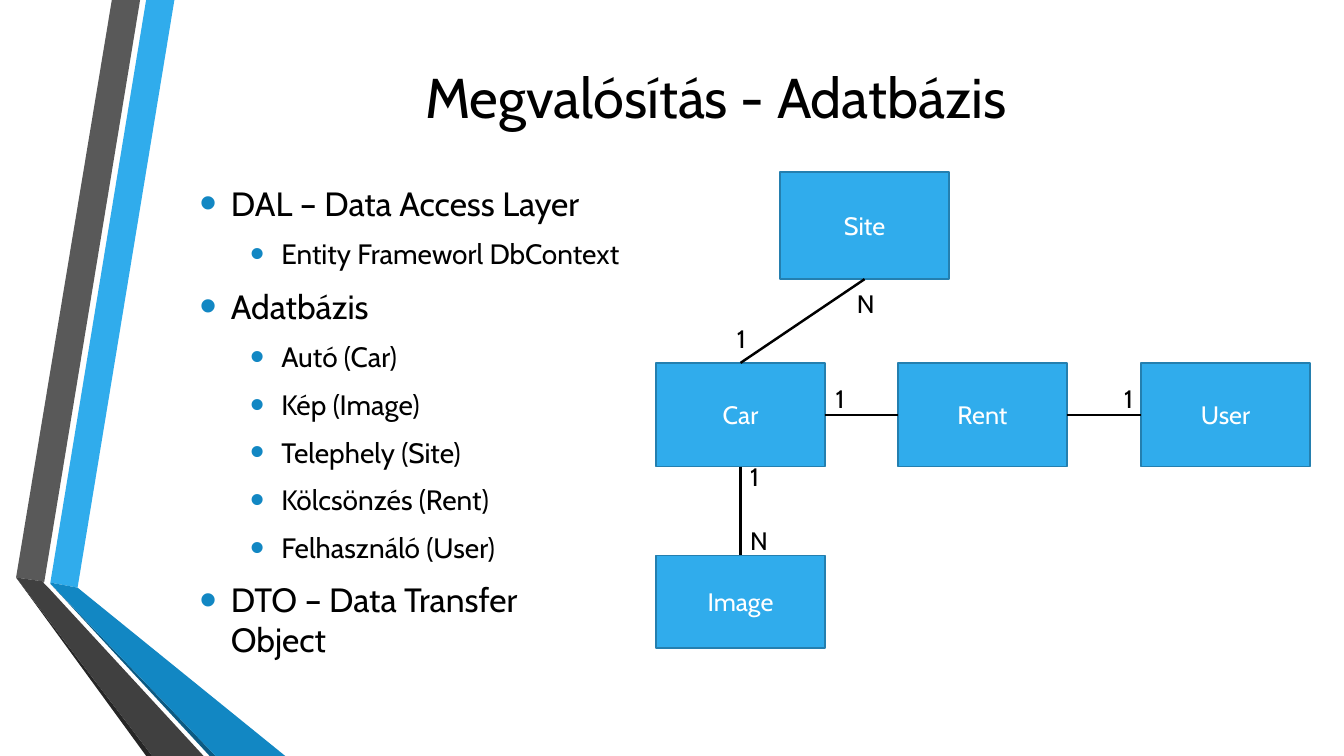
"""Build the database slide: outline on the left, entity diagram on the right."""
from lxml import etree
from pptx import Presentation
from pptx.dml.color import RGBColor
from pptx.enum.shapes import MSO_CONNECTOR, MSO_SHAPE
from pptx.enum.text import MSO_ANCHOR, MSO_AUTO_SIZE, PP_ALIGN
from pptx.oxml.ns import qn
from pptx.util import Pt

RECT = MSO_SHAPE.RECTANGLE
LINE = MSO_CONNECTOR.STRAIGHT
TOP, MIDDLE = MSO_ANCHOR.TOP, MSO_ANCHOR.MIDDLE
LEFT, CENTER = PP_ALIGN.LEFT, PP_ALIGN.CENTER
FIXED = MSO_AUTO_SIZE.NONE
PX = 9144
FONT = "Cabin"
COLORS = {
    "black": "000000", "white": "FFFFFF", "sky": "30ACEC", "edge": "247FAF",
    "blue": "1287C3", "navy": "0C5A82", "gray": "595959", "dark": "404040",
    "coal": "262626",
}

TITLE = "Megvalósítás - Adatbázis"
TITLE_BOX = (162, -1, 1096, 192)
BODY_BOX = (188, 176, 437, 457)
OUTLINE = [
    (0, "DAL – Data Access Layer"),
    (1, "Entity Frameworl DbContext"),
    (0, "Adatbázis"),
    (1, "Autó (Car)"),
    (1, "Kép (Image)"),
    (1, "Telephely (Site)"),
    (1, "Kölcsönzés (Rent)"),
    (1, "Felhasználó (User)"),
    (0, "DTO – Data Transfer Object"),
]
LEVELS = [(24, 31), (20, 81)]
HANG = 31

BANDS = [
    ("sky", [(50, 578), (77, 583), (173, 0), (145, 0)]),
    ("gray", [(139, 0), (111, 0), (16, 573), (44, 577)]),
    ("coal", [(16, 573), (145, 750), (151, 750)]),
    ("navy", [(50, 579), (208, 750), (214, 750)]),
    ("blue", [(50, 578), (50, 579), (214, 750), (283, 750), (77, 583)]),
    ("dark", [(202, 750), (48, 583), (43, 578), (44, 577), (16, 573), (151, 750)]),
]

BOX_W = 167
ENTITIES = {
    "Car": (651, 360, 103),
    "Image": (651, 551, 92),
    "Site": (774, 171, 106),
    "User": (1132, 360, 103),
    "Rent": (891, 360, 103),
}
LINKS = [
    ("Site", 2, "Car", 0),
    ("Car", 3, "Rent", 1),
    ("Rent", 3, "User", 1),
    ("Car", 2, "Image", 0),
]
LABELS = [
    ("1", 721, 316), ("1", 819, 375), ("1", 1105, 375),
    ("N", 840, 281), ("1", 734, 453), ("N", 734, 516),
]
LABEL_SIZE = (25, 40)


def emu(*sizes):
    return [size * PX for size in sizes]


def rgb(name):
    return RGBColor.from_string(COLORS[name])


def style(para, size, color, align=LEFT):
    para.alignment = align
    para.font.name = FONT
    para.font.size = Pt(size)
    para.font.color.rgb = rgb(color)


def place(shape, box):
    shape.left, shape.top, shape.width, shape.height = emu(*box)
    frame = shape.text_frame
    frame.word_wrap = True
    frame.auto_size = FIXED
    return frame


def bullet(para, indent):
    props = para._p.get_or_add_pPr()
    props.set("marL", str(indent * PX))
    props.set("indent", str(-HANG * PX))
    tint = etree.SubElement(props, qn("a:buClr"))
    etree.SubElement(tint, qn("a:srgbClr"), val=COLORS["blue"])
    etree.SubElement(props, qn("a:buSzPct"), val="145000")
    etree.SubElement(props, qn("a:buFont"), typeface="Arial")
    etree.SubElement(props, qn("a:buChar"), char="•")


def add_bands(shapes):
    for i, (color, points) in enumerate(BANDS):
        pen = shapes.build_freeform(*points[0], scale=PX)
        pen.add_line_segments(points[1:], close=True)
        band = pen.convert_to_shape()
        band.shadow.inherit = False
        band.fill.solid()
        band.fill.fore_color.rgb = rgb(color)
        band.line.fill.background()
        shapes._spTree.insert(2 + i, band._element)


def add_text(slide):
    frame = place(slide.shapes.title, TITLE_BOX)
    frame.vertical_anchor = MIDDLE
    frame.text = TITLE
    style(frame.paragraphs[0], 40, "black", CENTER)

    frame = place(slide.placeholders[1], BODY_BOX)
    frame.vertical_anchor = TOP
    frame.text = "\n".join(text for _, text in OUTLINE)
    for para, (level, _) in zip(frame.paragraphs, OUTLINE):
        size, indent = LEVELS[level]
        para.level = level
        bullet(para, indent)
        para.space_before = Pt(size * 0.2)
        para.space_after = Pt(6)
        style(para, size, "black")


def add_diagram(shapes):
    boxes = {}
    for name, (x, y, h) in ENTITIES.items():
        box = boxes[name] = shapes.add_shape(RECT, *emu(x, y, BOX_W, h))
        box.shadow.inherit = False
        box.fill.solid()
        box.fill.fore_color.rgb = rgb("sky")
        box.line.color.rgb = rgb("edge")
        box.line.width = Pt(1.25)
        box.text_frame.text = name
        box.text_frame.vertical_anchor = MIDDLE
        style(box.text_frame.paragraphs[0], 18, "white", CENTER)

    for start, out, end, into in LINKS:
        link = shapes.add_connector(LINE, 0, 0, 0, 0)
        link.begin_connect(boxes[start], out)
        link.end_connect(boxes[end], into)
        link.line.color.rgb = rgb("black")
        link.line.width = Pt(1.75)
        etree.SubElement(link._element.spPr, qn("a:effectLst"))

    for text, x, y in LABELS:
        label = shapes.add_textbox(*emu(x, y, *LABEL_SIZE))
        label.text_frame.word_wrap = True
        label.text_frame.text = text
        style(label.text_frame.paragraphs[0], 18, "black")


def main():
    deck = Presentation()
    deck.slide_width, deck.slide_height = emu(1333, 750)
    slide = deck.slides.add_slide(deck.slide_layouts[1])
    add_bands(slide.shapes)
    add_text(slide)
    add_diagram(slide.shapes)
    deck.save("out.pptx")


if __name__ == "__main__":
    main()
